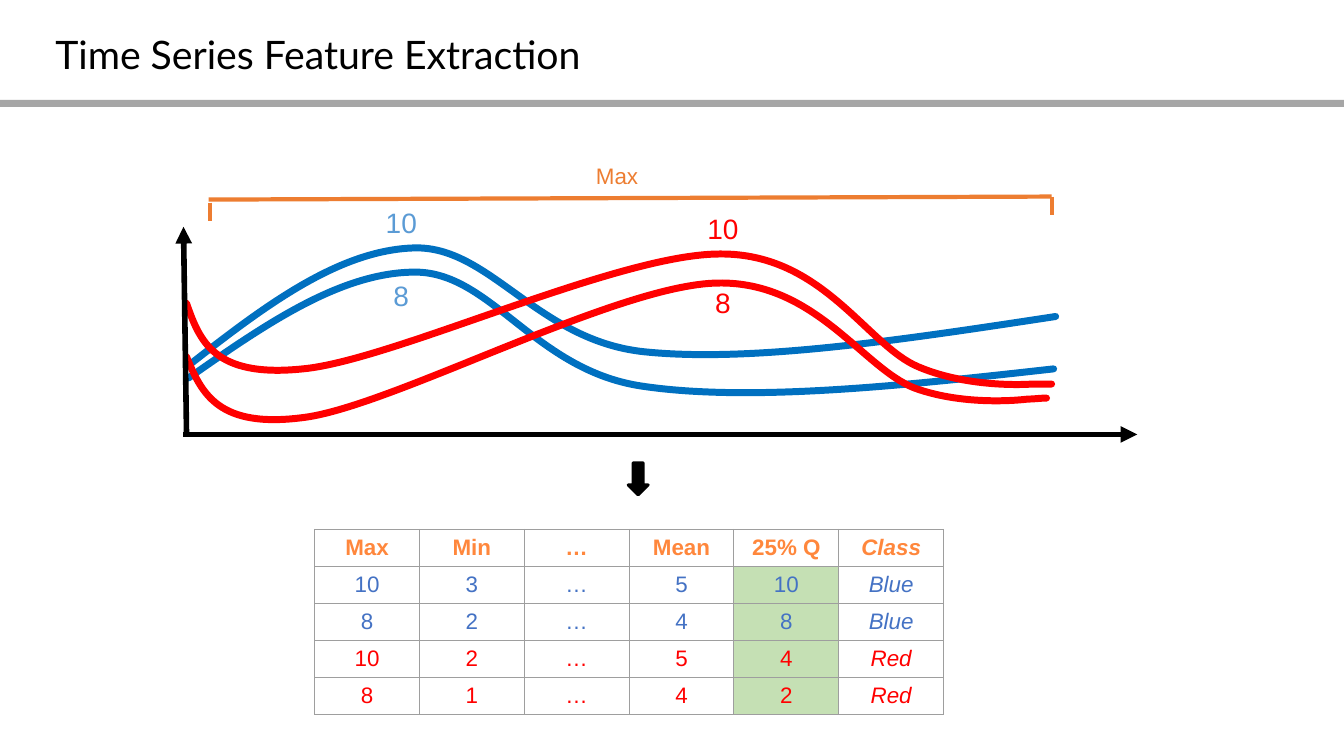
from lxml import etree
from pptx import Presentation
from pptx.dml.color import RGBColor
from pptx.enum.shapes import MSO_CONNECTOR, MSO_SHAPE
from pptx.enum.text import MSO_ANCHOR, PP_ALIGN
from pptx.oxml.ns import qn
from pptx.util import Inches, Pt

STRAIGHT = MSO_CONNECTOR.STRAIGHT
RECTANGLE, DOWN_ARROW = MSO_SHAPE.RECTANGLE, MSO_SHAPE.DOWN_ARROW
LEFT, CENTER = PP_ALIGN.LEFT, PP_ALIGN.CENTER
TOP, MIDDLE = MSO_ANCHOR.TOP, MSO_ANCHOR.MIDDLE

BLACK = RGBColor(0x00, 0x00, 0x00)
GRAY = RGBColor(0xA6, 0xA6, 0xA6)
BLUE = RGBColor(0x00, 0x70, 0xC0)
LABEL_BLUE = RGBColor(0x5B, 0x9B, 0xD5)
TABLE_BLUE = RGBColor(0x44, 0x72, 0xC4)
RED = RGBColor(0xFF, 0x00, 0x00)
ORANGE = RGBColor(0xED, 0x7D, 0x31)
HEADER_ORANGE = RGBColor(0xFF, 0x87, 0x3C)
GREEN = RGBColor(0xC5, 0xE0, 0xB4)
BORDER = RGBColor(0x9E, 0x9E, 0x9E)

SERIES = [
    (BLUE, [(1.89, 3.61), (2.62, 3.04), (3.36, 2.48), (4.11, 2.46),
            (4.86, 2.44), (5.33, 3.38), (6.39, 3.49),
            (7.45, 3.6), (8.96, 3.37), (10.47, 3.14)]),
    (BLUE, [(1.87, 3.75), (2.63, 3.22), (3.39, 2.69), (4.14, 2.7),
            (4.88, 2.72), (5.31, 3.67), (6.36, 3.83),
            (7.42, 3.99), (8.93, 3.83), (10.45, 3.66)]),
    (RED, [(1.85, 3.54), (2, 3.9), (2.16, 4.26), (3.03, 4.14),
           (3.9, 4.02), (6.06, 2.86), (7.07, 2.81),
           (8.07, 2.76), (8.55, 3.65), (9.07, 3.85),
           (9.59, 4.04), (10.19, 3.96), (10.19, 3.96),
           (10.25, 3.96), (10.32, 3.95), (10.38, 3.95)]),
    (RED, [(1.85, 3.01), (1.98, 3.38), (2.12, 3.75), (3, 3.66),
           (3.89, 3.58), (6.12, 2.52), (7.14, 2.52),
           (8.16, 2.51), (8.6, 3.43), (9.11, 3.64),
           (9.63, 3.86), (10.24, 3.81), (10.24, 3.81),
           (10.3, 3.81), (10.37, 3.81), (10.43, 3.81)]),
]
AXES = [((1.82, 4.31), (11.28, 4.31)), ((1.85, 4.31), (1.82, 2.25))]
BRACKET = [((2.07, 1.98), (10.43, 1.95)),
           ((2.08, 2.01), (2.08, 2.19)),
           ((10.43, 1.95), (10.43, 2.13))]
LABELS = [
    ("Max", 4.71, 1.61, 16, ORANGE),
    ("10", 2.57, 2.04, 20, LABEL_BLUE),
    ("8", 2.57, 2.76, 20, LABEL_BLUE),
    ("10", 5.76, 2.1, 20, RED),
    ("8", 5.76, 2.83, 20, RED),
]
FEATURES = [
    (HEADER_ORANGE, ["Max", "Min", "…", "Mean", "25% Q", "Class"]),
    (TABLE_BLUE, ["10", "3", "…", "5", "10", "Blue"]),
    (TABLE_BLUE, ["8", "2", "…", "4", "8", "Blue"]),
    (RED, ["10", "2", "…", "5", "4", "Red"]),
    (RED, ["8", "1", "…", "4", "2", "Red"]),
]
QUANTILE_COLUMN, CLASS_COLUMN = 4, 5


class FeatureSlide:
    title_font = "Lato"
    body_font = "Arial"

    def __init__(self, deck):
        self.slide = deck.slides.add_slide(deck.slide_layouts[5])
        self.shapes = self.slide.shapes

    def set_text(self, frame, text, size, color, font=body_font, align=CENTER):
        frame.text = text
        paragraph = frame.paragraphs[0]
        paragraph.alignment = align
        paragraph.font.name = font
        paragraph.font.size = Pt(size)
        paragraph.font.color.rgb = color
        return paragraph

    def set_insets(self, frame, inset, anchor):
        frame.word_wrap = True
        frame.vertical_anchor = anchor
        frame.margin_left = frame.margin_right = Inches(inset)
        frame.margin_top = frame.margin_bottom = Inches(inset)

    def title(self, text, left, top, width, height):
        title = self.shapes.title
        title.left, title.top = Inches(left), Inches(top)
        title.width, title.height = Inches(width), Inches(height)
        self.set_insets(title.text_frame, 0.1, MIDDLE)
        self.set_text(title.text_frame, text, 28, BLACK, self.title_font, LEFT)

    def shape(self, kind, left, top, width, height, color, line_width=0):
        shape = self.shapes.add_shape(
            kind, Inches(left), Inches(top), Inches(width), Inches(height))
        shape.shadow.inherit = False
        shape.fill.solid()
        shape.fill.fore_color.rgb = color
        if line_width:
            shape.line.color.rgb = color
            shape.line.width = Pt(line_width)
        else:
            shape.line.fill.background()

    def curve(self, points, color):
        start, *controls = [(Inches(x), Inches(y)) for x, y in points]
        builder = self.shapes.build_freeform(*start)
        builder.add_line_segments(controls, close=False)
        curve = builder.convert_to_shape()
        curve.shadow.inherit = False
        curve.fill.background()
        curve.line.color.rgb = color
        curve.line.width = Pt(5)
        stroke = curve.line._get_or_add_ln()
        stroke.set("cap", "rnd")
        etree.SubElement(stroke, qn("a:round"))
        outline = next(curve._element.iter(qn("a:path")))
        segments = outline.findall(qn("a:lnTo"))
        for first in range(0, len(segments), 3):
            bezier = etree.SubElement(outline, qn("a:cubicBezTo"))
            for segment in segments[first:first + 3]:
                bezier.append(segment[0])
                outline.remove(segment)

    def line(self, start, end, color, width, arrow=False):
        ends = [Inches(value) for value in (*start, *end)]
        line = self.shapes.add_connector(STRAIGHT, *ends)
        line.line.color.rgb = color
        line.line.width = Pt(width)
        if arrow:
            stroke = line.line._get_or_add_ln()
            etree.SubElement(stroke, qn("a:tailEnd"), type="triangle")
        etree.SubElement(line._element.spPr, qn("a:effectLst"))

    def label(self, text, left, top, size, color):
        box = self.shapes.add_textbox(
            Inches(left), Inches(top), Inches(2.82), Inches(0.79))
        self.set_insets(box.text_frame, 0, TOP)
        self.set_text(box.text_frame, text, size, color)

    def border(self, cell):
        properties = cell._tc.get_or_add_tcPr()
        for side in ("a:lnL", "a:lnR", "a:lnT", "a:lnB"):
            edge = etree.SubElement(properties, qn(side), w=str(Pt(0.75)))
            fill = etree.SubElement(edge, qn("a:solidFill"))
            etree.SubElement(fill, qn("a:srgbClr"), val=str(BORDER))

    def table(self, rows, left, top, column_width, row_height):
        columns = len(rows[0][1])
        table = self.shapes.add_table(
            len(rows), columns, Inches(left), Inches(top),
            Inches(column_width * columns),
            Inches(row_height * len(rows))).table
        table.first_row = table.horz_banding = False
        for row, (color, values) in enumerate(rows):
            for column, value in enumerate(values):
                cell = table.cell(row, column)
                cell.vertical_anchor = MIDDLE
                self.border(cell)
                if row and column == QUANTILE_COLUMN:
                    cell.fill.solid()
                    cell.fill.fore_color.rgb = GREEN
                else:
                    cell.fill.background()
                paragraph = self.set_text(cell.text_frame, value, 16, color)
                paragraph.font.bold = row == 0
                paragraph.font.italic = column == CLASS_COLUMN


def main():
    deck = Presentation()
    deck.slide_width, deck.slide_height = Inches(13.33), Inches(7.5)
    page = FeatureSlide(deck)
    page.shape(RECTANGLE, 0, 0.99, 13.33, 0.07, GRAY)
    page.title("Time Series Feature Extraction", 0.45, 0.21, 12.42, 0.64)
    for color, points in SERIES:
        page.curve(points, color)
    for start, end in AXES:
        page.line(start, end, BLACK, 4, arrow=True)
    for start, end in BRACKET:
        page.line(start, end, ORANGE, 3)
    for label in LABELS:
        page.label(*label)
    page.table(FEATURES, 3.12, 5.25, 1.04, 0.36)
    page.shape(DOWN_ARROW, 6.23, 4.59, 0.2, 0.32, BLACK, 2)
    deck.save("out.pptx")


if __name__ == "__main__":
    main()
